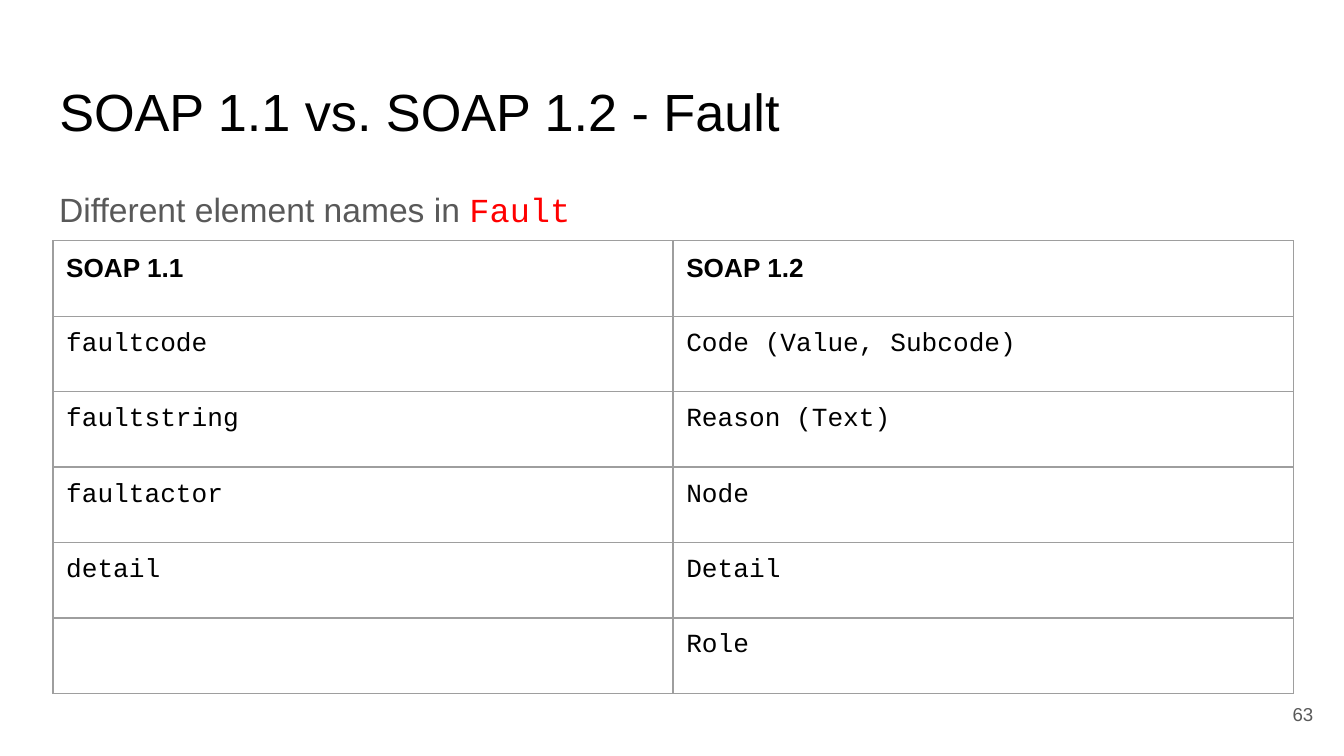
from lxml.etree import SubElement
from pptx import Presentation
from pptx.dml.color import RGBColor
from pptx.enum.text import MSO_ANCHOR as Anchor, MSO_AUTO_SIZE as AutoSize, PP_ALIGN as Align
from pptx.oxml.ns import qn
from pptx.util import Cm, Pt

TITLE = "SOAP 1.1 vs. SOAP 1.2 - Fault"
INTRO = [("Different element names in ", "intro"), ("Fault", "keyword")]
PAGE_NUMBER = "63"
ROWS = [
    ("SOAP 1.1", "SOAP 1.2"),
    ("faultcode", "Code (Value, Subcode)"),
    ("faultstring", "Reason (Text)"),
    ("faultactor", "Node"),
    ("detail", "Detail"),
    ("", "Role"),
]

COLORS = {
    "black": "000000",
    "gray": "595959",
    "red": "FF0000",
    "border": "9E9E9E",
    "white": "FFFFFF",
}
STYLES = {
    "title": ("Arial", 28, "black", False),
    "intro": ("Arial", 18, "gray", False),
    "keyword": ("Courier New", 18, "red", False),
    "number": ("Arial", 10, "gray", False),
    "header": ("Arial", 14, "black", True),
    "code": ("Courier New", 14, "black", False),
}
INSET = Cm(0.25)
TABLE_BOX = (1, 4.55, 23.44, 8.56)


def rgb(name):
    return RGBColor.from_string(COLORS[name])


def set_all(target, values):
    for name, value in values.items():
        setattr(target, name, value)


def place(box, left, top, width, height):
    set_all(box, {"left": Cm(left), "top": Cm(top), "width": Cm(width), "height": Cm(height)})


def add_span(para, text, style):
    family, size, color, bold = STYLES[style]
    span = para.add_run()
    span.text = text
    set_all(span.font, {"name": family, "size": Pt(size), "bold": bold})
    span.font.color.rgb = rgb(color)


def write(box, spans, anchor=Anchor.TOP, **para_format):
    frame = box.text_frame
    set_all(frame, {
        "word_wrap": True,
        "auto_size": AutoSize.NONE,
        "vertical_anchor": anchor,
        "margin_left": INSET,
        "margin_right": INSET,
        "margin_top": INSET,
        "margin_bottom": INSET,
    })
    para = frame.paragraphs[0]
    set_all(para, {"alignment": Align.LEFT, **para_format})
    for text, style in spans:
        add_span(para, text, style)


def add_borders(cell):
    properties = cell._tc.get_or_add_tcPr()
    for side in ("a:lnL", "a:lnR", "a:lnT", "a:lnB"):
        line = SubElement(properties, qn(side), w=str(Pt(0.75)))
        fill = SubElement(line, qn("a:solidFill"))
        SubElement(fill, qn("a:srgbClr"), val=COLORS["border"])


def fill_cell(cell, text, style):
    set_all(cell, {
        "margin_left": INSET,
        "margin_right": INSET,
        "margin_top": INSET,
        "margin_bottom": INSET,
        "vertical_anchor": Anchor.TOP,
    })
    add_borders(cell)
    cell.fill.background()
    if text:
        add_span(cell.text_frame.paragraphs[0], text, style)


def add_fault_table(page):
    left, top, width, height = map(Cm, TABLE_BOX)
    table = page.shapes.add_table(len(ROWS), len(ROWS[0]), left, top, width, height).table
    set_all(table, {"first_row": False, "horz_banding": False})
    for row_index, row in enumerate(ROWS):
        style = "header" if row_index == 0 else "code"
        for column_index, text in enumerate(row):
            fill_cell(table.cell(row_index, column_index), text, style)


def main():
    deck = Presentation()
    set_all(deck, {"slide_width": Cm(25.4), "slide_height": Cm(14.29)})
    page = deck.slides.add_slide(deck.slide_layouts[5])
    page.background.fill.solid()
    page.background.fill.fore_color.rgb = rgb("white")

    title = page.shapes.title
    place(title, 0.87, 1.24, 23.67, 1.6)
    write(title, [(TITLE, "title")])

    intro = page.shapes.add_textbox(Cm(0.87), Cm(3.2), Cm(23.67), Cm(1.45))
    write(intro, INTRO, line_spacing=1.15, space_after=Pt(16))

    number = page.shapes.add_textbox(Cm(23.55), Cm(12.95), Cm(1.52), Cm(1.09))
    write(number, [(PAGE_NUMBER, "number")], Anchor.MIDDLE, alignment=Align.RIGHT)

    add_fault_table(page)
    deck.save("out.pptx")


if __name__ == "__main__":
    main()
